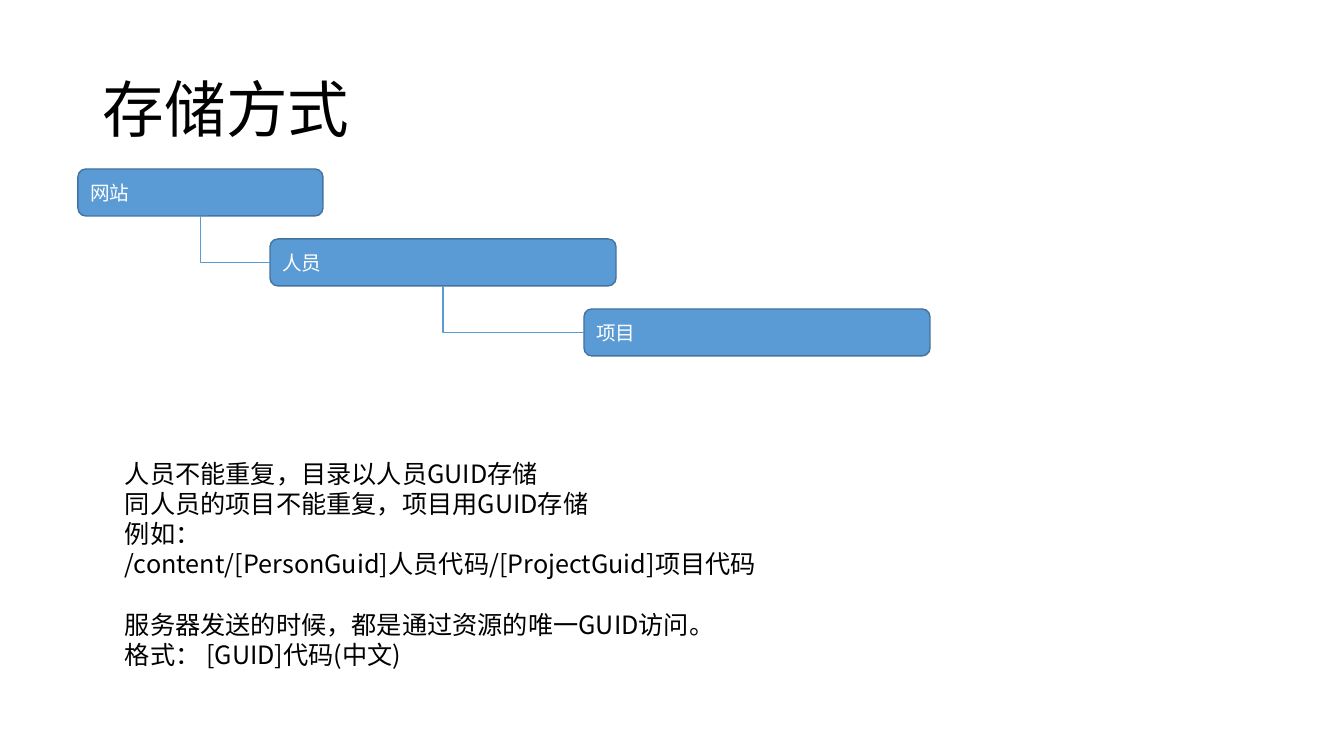
"""Build the storage layout slide: a three-level hierarchy with naming rules below."""
from lxml.etree import SubElement
from pptx import Presentation
from pptx.dml.color import RGBColor
from pptx.enum.shapes import MSO_CONNECTOR, MSO_SHAPE
from pptx.enum.text import MSO_ANCHOR, PP_ALIGN
from pptx.oxml.ns import qn
from pptx.util import Pt

SCALE = 914400 / 100.8
FONT = "Noto Sans CJK SC"
BLACK = RGBColor(0x00, 0x00, 0x00)
WHITE = RGBColor(0xFF, 0xFF, 0xFF)
BLUE = RGBColor(0x5B, 0x9B, 0xD5)
DARK_BLUE = RGBColor(0x43, 0x73, 0x9E)


def emu(*pixels):
    """Turn pixel lengths into EMU."""
    return [round(pixel * SCALE) for pixel in pixels]


def write(shape, lines, size, color, anchor):
    """Fill a shape with left-aligned paragraphs and return them."""
    frame = shape.text_frame
    frame.word_wrap = True
    frame.vertical_anchor = anchor
    frame.text = "\n".join(lines)
    for paragraph in frame.paragraphs:
        paragraph.alignment = PP_ALIGN.LEFT
        font = paragraph.font
        font.size = Pt(size)
        font.name = FONT
        font.color.rgb = color
        SubElement(paragraph._p.pPr.find(qn("a:defRPr")), qn("a:ea"), typeface=FONT)
    return frame.paragraphs


presentation = Presentation()
presentation.slide_width, presentation.slide_height = emu(1344, 756)
slide = presentation.slides.add_slide(presentation.slide_layouts[6])
shapes = slide.shapes

title = shapes.add_textbox(*emu(93, 40, 1159, 146))
write(title, ["存储方式"], 44, BLACK, MSO_ANCHOR.MIDDLE)[0].line_spacing = 0.9

LEVEL_TOP, LEVEL_STEP, LEVEL_HEIGHT = 169, 70, 47
levels = [("网站", 78, 245), ("人员", 270, 346), ("项目", 584, 346)]
parent = None
for index, (name, left, width) in enumerate(levels):
    top = LEVEL_TOP + index * LEVEL_STEP
    level = shapes.add_shape(MSO_SHAPE.ROUNDED_RECTANGLE, *emu(left, top, width, LEVEL_HEIGHT))
    level.shadow.inherit = False
    level.fill.solid()
    level.fill.fore_color.rgb = BLUE
    level.line.color.rgb = DARK_BLUE
    level.line.width = Pt(1)
    write(level, [name], 14, WHITE, MSO_ANCHOR.MIDDLE)

    if parent is not None:
        start_x = parent.left + parent.width // 2
        start_y = parent.top + parent.height
        end_x = level.left
        end_y = level.top + level.height // 2
        run, drop = end_x - start_x, end_y - start_y
        connector = shapes.add_connector(MSO_CONNECTOR.ELBOW, start_x, start_y, end_x, end_y)
        connector.begin_connect(parent, 2)
        connector.end_connect(level, 1)
        connector.left = (start_x + end_x - drop) // 2
        connector.top = (start_y + end_y - run) // 2
        connector.width, connector.height = drop, run
        connector.line.color.rgb = BLUE
        connector.line.width = Pt(1)
        properties = connector._element.spPr
        properties.find(qn("a:prstGeom")).set("prst", "bentConnector2")
        transform = properties.find(qn("a:xfrm"))
        transform.set("rot", "16200000")
        transform.set("flipH", "1")
        SubElement(properties, qn("a:effectLst"))
    parent = level

rules = [
    "人员不能重复，目录以人员GUID存储",
    "同人员的项目不能重复，项目用GUID存储",
    "例如：",
    "/content/[PersonGuid]人员代码/[ProjectGuid]项目代码",
    "服务器发送的时候，都是通过资源的唯一GUID访问。",
    "格式： [GUID]代码(中文)",
]
notes = shapes.add_textbox(*emu(115, 453, 837, 224))
paragraphs = write(notes, rules, 18, BLACK, MSO_ANCHOR.TOP)
for paragraph in paragraphs:
    paragraph.line_spacing = Pt(21.6)
paragraphs[4].space_before = Pt(21.6)

presentation.save("out.pptx")
